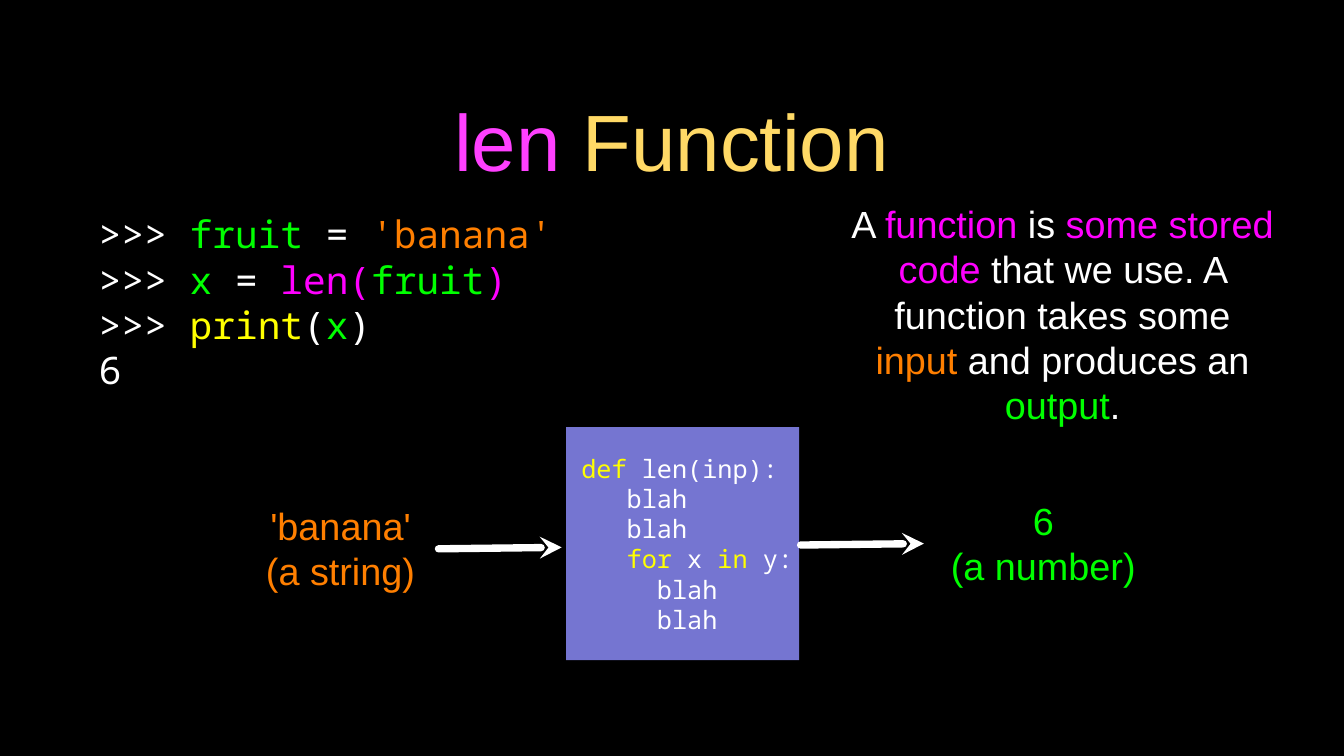
from lxml import etree
from pptx import Presentation
from pptx.dml.color import RGBColor
from pptx.enum.shapes import MSO_CONNECTOR, MSO_SHAPE
from pptx.enum.text import MSO_ANCHOR, MSO_AUTO_SIZE, PP_ALIGN
from pptx.oxml.ns import qn
from pptx.util import Pt

CENTER, LEFT = PP_ALIGN.CENTER, PP_ALIGN.LEFT
MIDDLE = MSO_ANCHOR.MIDDLE
NO_AUTOFIT = MSO_AUTO_SIZE.NONE
RECTANGLE = MSO_SHAPE.RECTANGLE
STRAIGHT = MSO_CONNECTOR.STRAIGHT

SANS, MONO = "Arial", "Noto Sans Mono"
BLACK, WHITE, YELLOW, GREEN = "000000", "FFFFFF", "FFFF00", "00FF00"
ORANGE, MAGENTA, PINK, GOLD, VIOLET = "FF7F00", "FF00FF", "FF40FF", "FFD966", "7575D1"
LINE_HEIGHT = 1.2
MONO_ADVANCE = 0.6


def color(hex_value):
    """Turn a hex string into a colour."""
    return RGBColor.from_string(hex_value)


def write(shape, lines, size, font, align=CENTER, indents=None, inset=0):
    """Fill a shape with lines, each a list of (text, colour) runs."""
    frame = shape.text_frame
    frame.word_wrap = True
    frame.auto_size = NO_AUTOFIT
    frame.vertical_anchor = MIDDLE
    frame.margin_left = frame.margin_right = Pt(inset)
    frame.margin_top = frame.margin_bottom = Pt(inset)
    for index, line in enumerate(lines):
        paragraph = frame.add_paragraph() if index else frame.paragraphs[0]
        paragraph.alignment = align
        paragraph.line_spacing = Pt(size * LINE_HEIGHT)
        if indents:
            margin = Pt(indents[index] * size * MONO_ADVANCE)
            paragraph._p.get_or_add_pPr().set("marL", str(int(margin)))
        for text, hex_value in line:
            run = paragraph.add_run()
            run.text = text
            run.font.size = Pt(size)
            run.font.name = font
            run.font.bold = False
            run.font.color.rgb = color(hex_value)


def add_text(slide, box, lines, font=SANS, align=CENTER):
    """Add a body text box at box (left, top, width, height)."""
    shape = slide.shapes.add_textbox(*map(Pt, box))
    write(shape, lines, 36, font, align)


def add_title(slide, box):
    """Place the slide title."""
    title = slide.shapes.title
    title.left, title.top, title.width, title.height = map(Pt, box)
    write(title, [[("len ", PINK), ("Function", GOLD)]], 76, SANS, inset=3)


def add_session(slide, box):
    """Show the interactive session."""
    prompt = (">>> ", WHITE)
    add_text(slide, box, [
        [prompt, ("fruit ", GREEN), ("=", WHITE), (" 'banana'", ORANGE)],
        [prompt, ("x ", GREEN), ("= ", WHITE), ("len(", MAGENTA),
         ("fruit", GREEN), (")", MAGENTA)],
        [prompt, ("print", YELLOW), ("(", WHITE), ("x", GREEN), (")", WHITE)],
        [("6", WHITE)],
    ], MONO, LEFT)


def add_definition(slide, box):
    """Explain what a function is."""
    add_text(slide, box, [[
        ("A ", WHITE), ("function", MAGENTA), (" is ", WHITE),
        ("some stored code", MAGENTA),
        (" that we use. A function takes some ", WHITE), ("input", ORANGE),
        (" and produces an ", WHITE), ("output", GREEN), (".", WHITE),
    ]])


def add_function_box(slide, box):
    """Draw the square that holds the function's code."""
    shape = slide.shapes.add_shape(RECTANGLE, *map(Pt, box))
    shape.shadow.inherit = False
    shape.fill.solid()
    shape.fill.fore_color.rgb = color(VIOLET)
    shape.line.fill.background()
    blah = [("blah", WHITE)]
    write(shape, [
        [("def ", YELLOW), ("len(inp):", WHITE)],
        blah,
        blah,
        [("for", YELLOW), (" x ", WHITE), ("in", YELLOW), (" y:", WHITE)],
        blah,
        blah,
    ], 24, MONO, LEFT, indents=(1, 4, 4, 4, 6, 6))


def add_arrow(slide, left, top, width=117.4, rise=1.4):
    """Draw an arrow that rises slightly to the right."""
    arrow = slide.shapes.add_connector(
        STRAIGHT, Pt(left), Pt(top + rise), Pt(left + width), Pt(top))
    arrow.line.width = Pt(7)
    arrow.line.color.rgb = color(WHITE)
    line = arrow.line._get_or_add_ln()
    line.set("cap", "rnd")
    etree.SubElement(line, qn("a:round"))
    etree.SubElement(line, qn("a:tailEnd"), type="stealth")
    etree.SubElement(arrow._element.spPr, qn("a:effectLst"))


def add_flow(slide, left, top, width, height):
    """Draw input, function and output from left to right."""
    add_function_box(slide, (left + 286.6, top, height, height))
    add_arrow(slide, left + 164.9, top + 114.5)
    add_arrow(slide, left + 509.8, top + 110.9)
    add_text(slide, (left, top + 71.3, 143.3, 87),
             [[("'banana'", ORANGE)], [("(a string)", ORANGE)]])
    add_text(slide, (left + width - 185.8, top + 65.5, 185.8, 90),
             [[("6", GREEN)], [("(a number)", GREEN)]])


def build():
    """Build and save the slide."""
    presentation = Presentation()
    presentation.slide_width, presentation.slide_height = Pt(1280), Pt(720)
    slide = presentation.slides.add_slide(presentation.slide_layouts.get_by_name("Title Only"))
    slide.background.fill.solid()
    slide.background.fill.fore_color.rgb = color(BLACK)
    add_title(slide, (90.7, 65.5, 1097.3, 134.6))
    add_flow(slide, 252.7, 406.8, 833.8, 221.8)
    add_definition(slide, (810, 213.1, 403.9, 172.1))
    add_session(slide, (94.3, 200.2, 444.2, 174.2))
    presentation.save("out.pptx")


build()
